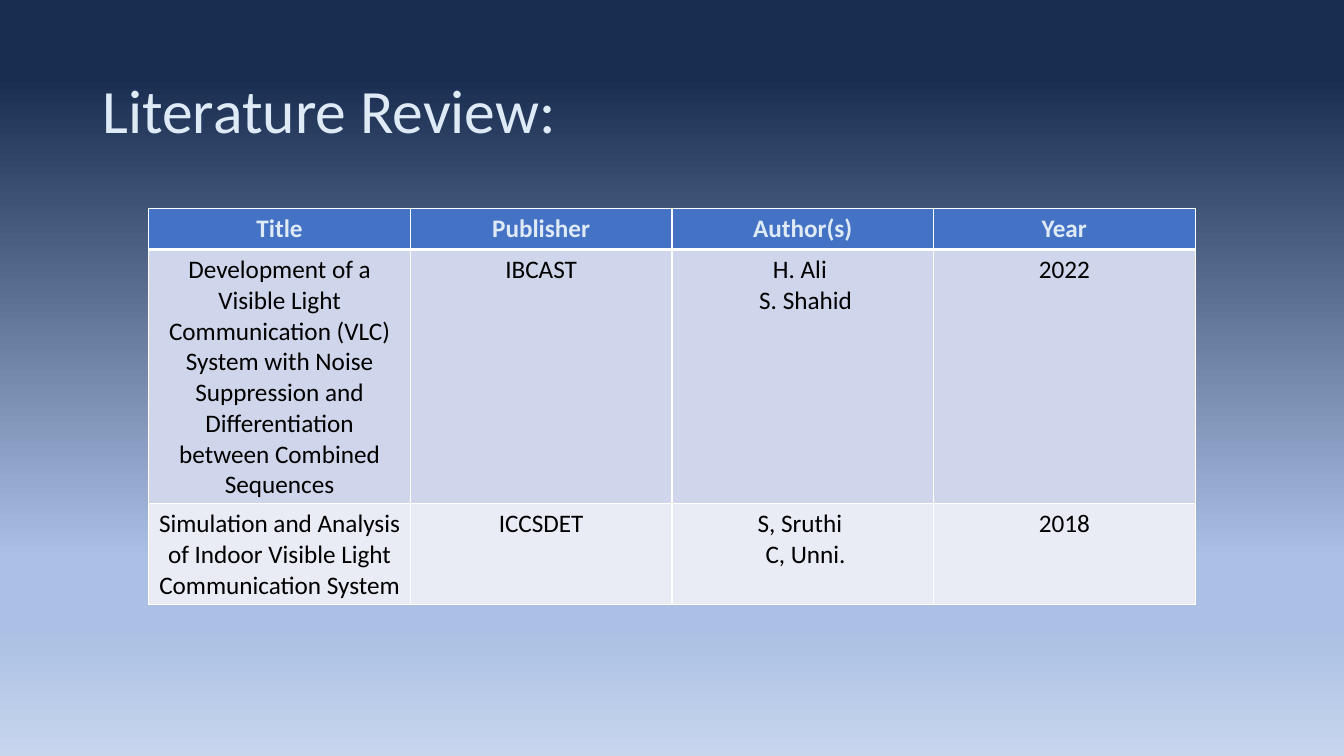
from lxml.etree import SubElement
from pptx import Presentation
from pptx.dml.color import RGBColor
from pptx.enum.text import MSO_ANCHOR, PP_ALIGN
from pptx.oxml import parse_xml
from pptx.oxml.ns import nsdecls, qn
from pptx.util import Cm, Pt

FONT = "Calibri"
PALE = "DEEBF7"
BACKDROP = [(10, "192D50", 90), (74, "ABC0E4", 100), (83, "ABC0E4", 100), (100, "C7D5ED", 100)]
ROW_FILLS = ["4472C4", "CFD5EA", "E9EBF5"]
ROW_HEIGHTS = [1.03, 6.4, 2.5]
PAPERS = [
    ["Title", "Publisher", "Author(s)", "Year"],
    ["Development of a Visible Light Communication (VLC) System with Noise Suppression "
     "and Differentiation between Combined Sequences",
     "IBCAST", "H. Ali \n S. Shahid", "2022"],
    ["Simulation and Analysis of Indoor Visible Light Communication System",
     "ICCSDET", "S, Sruthi \n C, Unni.", "2018"],
]


def rgb(value):
    """Turn a hex string into a colour."""
    return RGBColor.from_string(value)


def add_run(p, text, size, color, bold=False):
    """Add one formatted run to a paragraph."""
    r = p.add_run()
    r.text = text
    r.font.name = FONT
    r.font.size = Pt(size)
    r.font.bold = bold
    r.font.color.rgb = rgb(color)


def paint_background(s, stops):
    """Fill the slide from top to bottom with gradient stops."""
    fill = s.background.fill
    fill.gradient()
    fill.gradient_angle = 270
    stop_list = next(s.element.iter(qn("a:gsLst")))
    for old in list(stop_list):
        stop_list.remove(old)
    for pos, color, opacity in stops:
        stop = SubElement(stop_list, qn("a:gs"), pos=str(pos * 1000))
        clr = SubElement(stop, qn("a:srgbClr"), val=color)
        if opacity < 100:
            SubElement(clr, qn("a:alpha"), val=str(opacity * 1000))


def add_title(s, text, left, top, width, height):
    """Place the slide heading, centred vertically in its box."""
    tf = s.shapes.add_textbox(Cm(left), Cm(top), Cm(width), Cm(height)).text_frame
    tf.word_wrap = True
    tf.vertical_anchor = MSO_ANCHOR.MIDDLE
    p = tf.paragraphs[0]
    p.line_spacing = 0.9
    add_run(p, text, 44, PALE)


def set_borders(cell, top, bottom):
    """Draw white borders, with the top and bottom widths given in points."""
    tc_pr = cell._tc.get_or_add_tcPr()
    sides = [("lnL", 1), ("lnR", 1), ("lnT", top), ("lnB", bottom)]
    for i, (side, width) in enumerate(sides):
        tc_pr.insert(i, parse_xml(
            f'<a:{side} {nsdecls("a")} w="{Pt(width)}"><a:solidFill>'
            f'<a:srgbClr val="FFFFFF"/></a:solidFill></a:{side}>'))


def add_papers_table(s, rows, left, top, width):
    """Place the table of papers with equal columns."""
    cols = len(rows[0])
    table = s.shapes.add_table(len(rows), cols, Cm(left), Cm(top), Cm(width),
                               Cm(sum(ROW_HEIGHTS))).table
    for col in table.columns:
        col.width = Cm(width / cols)
    for i, texts in enumerate(rows):
        table.rows[i].height = Cm(ROW_HEIGHTS[i])
        header = i == 0
        for j, text in enumerate(texts):
            cell = table.cell(i, j)
            cell.fill.solid()
            cell.fill.fore_color.rgb = rgb(ROW_FILLS[i])
            set_borders(cell, 3 if i == 1 else 1, 3 if header else 1)
            tf = cell.text_frame
            for k, line in enumerate(text.split("\n")):
                p = tf.add_paragraph() if k else tf.paragraphs[0]
                p.alignment = PP_ALIGN.CENTER
                add_run(p, line, 18, PALE if header else "000000", header)


def main():
    """Build the literature review slide."""
    prs = Presentation()
    prs.slide_width, prs.slide_height = Cm(33.87), Cm(19.05)
    s = prs.slides.add_slide(prs.slide_layouts[6])
    paint_background(s, BACKDROP)
    add_title(s, "Literature Review:", 2.33, 1.01, 29.21, 3.68)
    add_papers_table(s, PAPERS, 3.75, 5.26, 26.37)
    prs.save("out.pptx")


if __name__ == "__main__":
    main()
